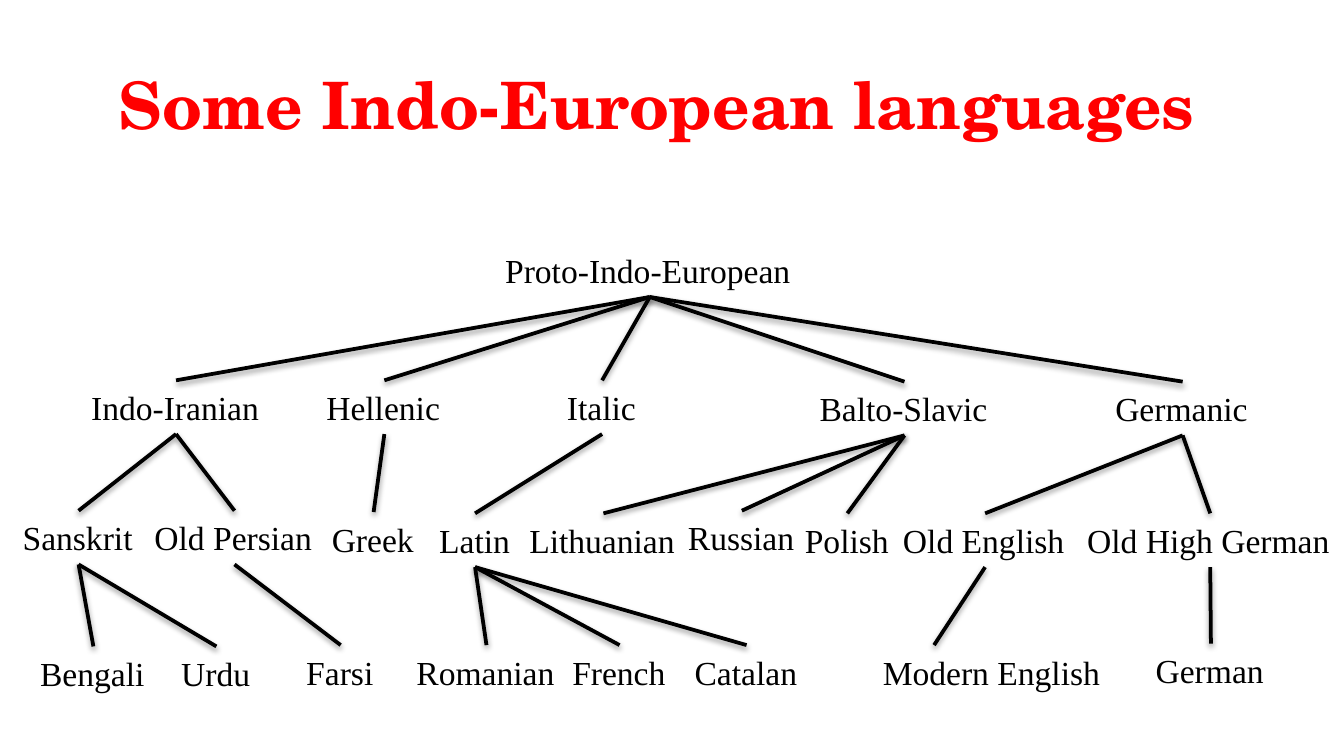
from lxml import etree
from pptx import Presentation
from pptx.dml.color import RGBColor
from pptx.enum.shapes import MSO_CONNECTOR
from pptx.enum.text import MSO_ANCHOR, MSO_AUTO_SIZE, PP_ALIGN
from pptx.oxml.ns import qn
from pptx.util import Inches, Pt

STRAIGHT = MSO_CONNECTOR.STRAIGHT
TOP = MSO_ANCHOR.TOP
FIT_SHAPE = MSO_AUTO_SIZE.SHAPE_TO_FIT_TEXT
CENTER = PP_ALIGN.CENTER
TOP_SIDE, BOTTOM_SIDE = 0, 2
TITLE_ONLY = 5

COLORS = {"title": "FF0000", "ink": "000000"}
TITLE_FONT, LABEL_FONT = "TeX Gyre Schola", "Times New Roman"
LABEL_HEIGHT = 0.4

# Language: (left, top, width, parent)
LANGUAGES = {
    "Proto-Indo-European": (3.66, 1.81, 2.35, None),
    # Branches
    "Indo-Iranian": (0.58, 2.83, 1.46, "Proto-Indo-European"),
    "Hellenic": (2.33, 2.83, 1.06, "Proto-Indo-European"),
    "Italic": (4.12, 2.83, 0.72, "Proto-Indo-European"),
    "Balto-Slavic": (6, 2.84, 1.46, "Proto-Indo-European"),
    "Germanic": (8.2, 2.84, 1.2, "Proto-Indo-European"),
    # Older languages
    "Sanskrit": (0.07, 3.8, 1.03, "Indo-Iranian"),
    "Old Persian": (1.05, 3.8, 1.39, "Indo-Iranian"),
    "Greek": (2.37, 3.81, 0.82, "Hellenic"),
    "Latin": (3.17, 3.82, 0.73, "Italic"),
    "Lithuanian": (3.84, 3.82, 1.3, "Balto-Slavic"),
    "Russian": (5.02, 3.8, 1, "Balto-Slavic"),
    "Polish": (5.89, 3.82, 0.83, "Balto-Slavic"),
    "Old English": (6.62, 3.82, 1.42, "Germanic"),
    "Old High German": (7.99, 3.82, 2.03, "Germanic"),
    # Modern languages
    "Bengali": (0.2, 4.81, 0.99, "Sanskrit"),
    "Urdu": (1.25, 4.81, 0.72, "Sanskrit"),
    "Farsi": (2.18, 4.8, 0.71, "Old Persian"),
    "Romanian": (3, 4.8, 1.24, "Latin"),
    "French": (4.16, 4.8, 0.9, "Latin"),
    "Catalan": (5.07, 4.8, 0.97, "Latin"),
    "Modern English": (6.47, 4.8, 1.84, "Old English"),
    "German": (8.5, 4.79, 1.02, "Old High German"),
}
# Branches that end off the middle of their label
OFF_CENTER_ENDS = {"Modern English": 6.95}


class TreeSlide:
    def __init__(self, slide):
        self.slide = slide

    def format_text(self, frame, font, size, color, bold=False):
        for run in frame.paragraphs[0].runs:
            run.font.name = font
            run.font.size = Pt(size)
            run.font.bold = bold
            run.font.color.rgb = RGBColor.from_string(COLORS[color])

    def title(self, text, left, top, width, height):
        title = self.slide.shapes.title
        title.left, title.top = Inches(left), Inches(top)
        title.width, title.height = Inches(width), Inches(height)
        frame = title.text_frame
        frame.text = text
        frame.vertical_anchor = TOP
        frame.paragraphs[0].alignment = CENTER
        self.format_text(frame, TITLE_FONT, 35, "title", bold=True)

    def label(self, text, left, top, width):
        label = self.slide.shapes.add_textbox(
            Inches(left), Inches(top), Inches(width), Inches(LABEL_HEIGHT))
        frame = label.text_frame
        frame.text = text
        frame.word_wrap = False
        frame.auto_size = FIT_SHAPE
        self.format_text(frame, LABEL_FONT, 18, "ink")
        return label

    def branch(self, parent, child, end_x=None):
        end = Inches(end_x or 0)
        branch = self.slide.shapes.add_connector(STRAIGHT, 0, 0, end, child.top)
        branch.begin_connect(parent, BOTTOM_SIDE)
        if end_x is None:
            branch.end_connect(child, TOP_SIDE)
        branch.line.width = Pt(2)
        branch.line.color.rgb = RGBColor.from_string(COLORS["ink"])
        self.soft_shadow(branch)

    def soft_shadow(self, branch):
        effects = etree.SubElement(branch._element.spPr, qn("a:effectLst"))
        shadow = etree.SubElement(
            effects, qn("a:outerShdw"), blurRad=str(Pt(3.1)), dist=str(Pt(1.6)),
            dir="5400000", rotWithShape="0")
        color = etree.SubElement(shadow, qn("a:srgbClr"), val=COLORS["ink"])
        etree.SubElement(color, qn("a:alpha"), val="38000")


def main():
    deck = Presentation()
    # Widescreen, 16:9
    deck.slide_width = Inches(10)
    deck.slide_height = deck.slide_width * 9 // 16
    tree = TreeSlide(deck.slides.add_slide(deck.slide_layouts[TITLE_ONLY]))

    tree.title("Some Indo-European languages", 0.28, 0.43, 9.22, 0.77)

    # Language names
    labels = {name: tree.label(name, left, top, width)
              for name, (left, top, width, _) in LANGUAGES.items()}

    # Lines of descent
    for name, (*_, parent) in LANGUAGES.items():
        if parent:
            tree.branch(labels[parent], labels[name], OFF_CENTER_ENDS.get(name))

    deck.save("out.pptx")


if __name__ == "__main__":
    main()
